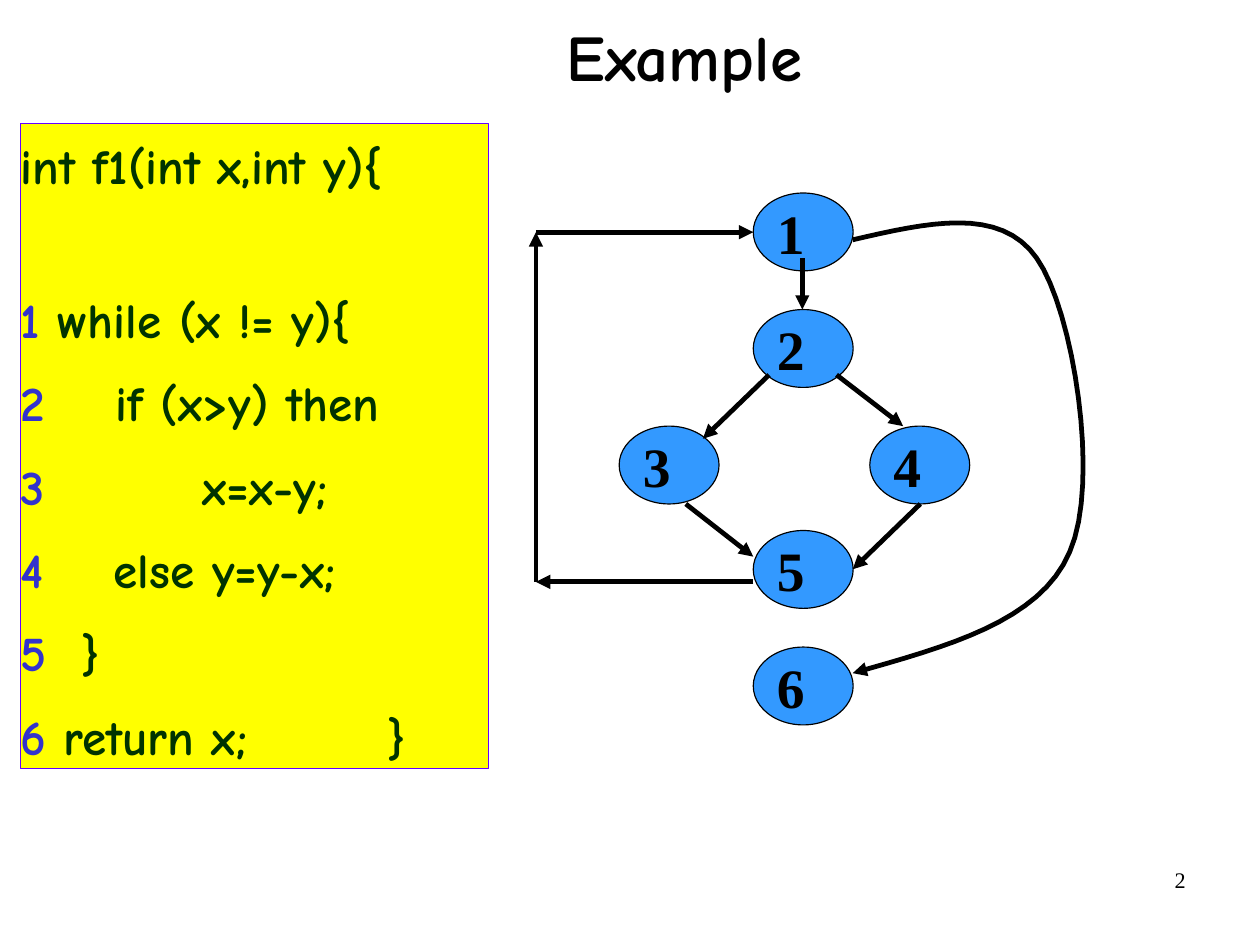
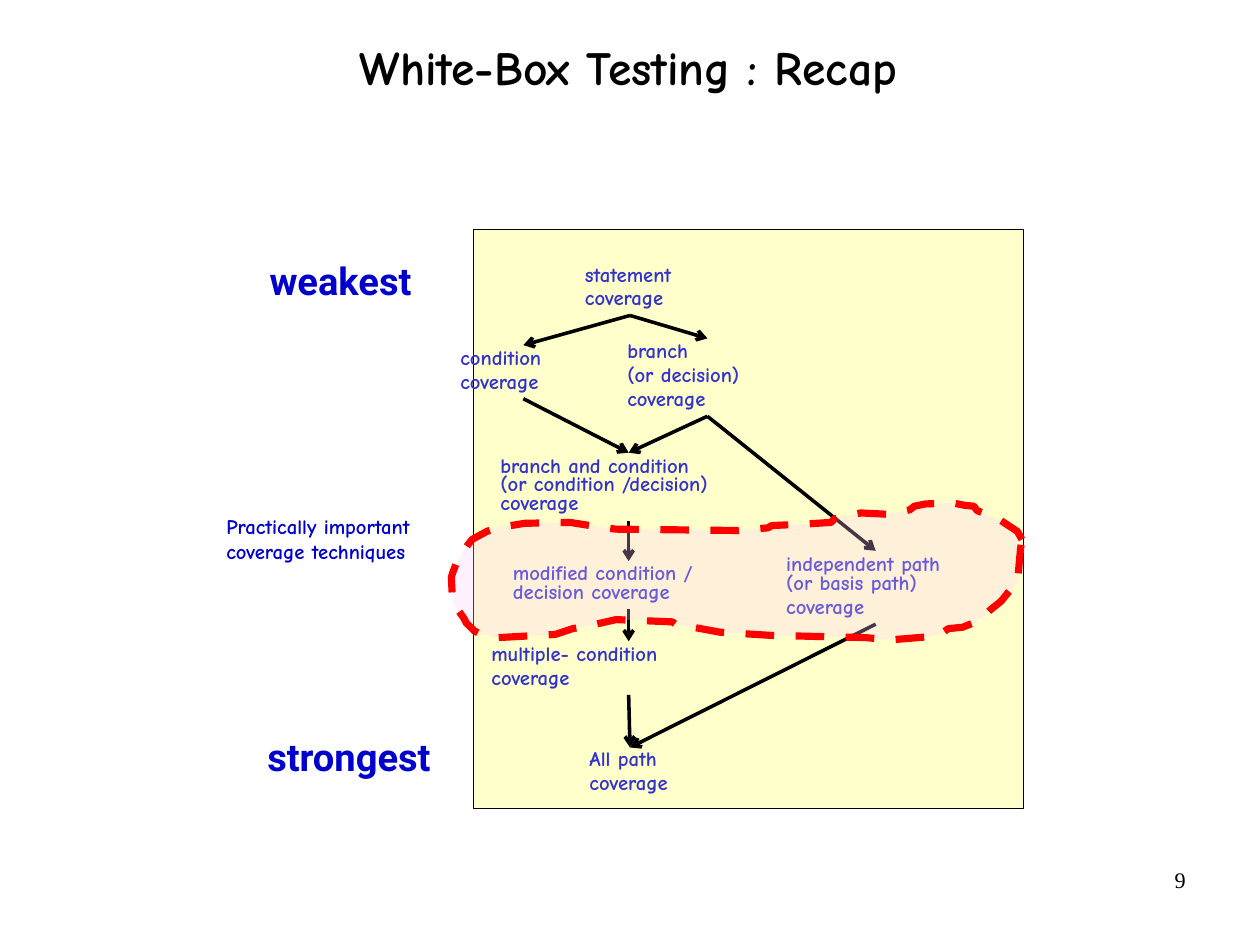
from dataclasses import dataclass

from lxml.etree import SubElement
from pptx import Presentation
from pptx.dml.color import RGBColor
from pptx.enum.dml import MSO_LINE
from pptx.enum.shapes import MSO_CONNECTOR as CONN, MSO_SHAPE as SHAPE
from pptx.enum.text import MSO_ANCHOR as ANCHOR, MSO_AUTO_SIZE as AUTO, PP_ALIGN as ALIGN
from pptx.oxml.ns import qn
from pptx.util import Cm, Pt


@dataclass(frozen=True)
class Theme:
    black: str = "000000"
    code: str = "003300"
    label: str = "3333CC"
    strong: str = "0000CC"
    node: str = "3399FF"
    code_fill: str = "FFFF00"
    code_line: str = "6600FF"
    panel: str = "FFFFCC"
    zone: str = "FFCCFF"
    zone_line: str = "FF0000"
    comic: str = "Comic Neue"
    serif: str = "Times New Roman"
    sans: str = "Roboto"
    title_pt: int = 41
    small_title_pt: int = 30
    code_pt: int = 31
    node_pt: int = 35
    strong_pt: int = 24
    label_pt: int = 13
    number_pt: int = 14
    thin_pt: float = 0.75
    arrow_pt: float = 2.25
    thick_pt: float = 3
    zone_pt: float = 4.5


T = Theme()


class Deck:
    """Build slides that share one theme, holding the slide being drawn."""

    def __init__(self):
        self.prs = Presentation()
        self.prs.slide_width, self.prs.slide_height = Cm(28), Cm(21)

    def slide(self, layout, number, title, box, size):
        self.s = self.prs.slides.add_slide(self.prs.slide_layouts[layout])
        self.text_box((20.07, 19.13, 6.53, 1.45), [number], T.serif, T.number_pt,
                      T.black, bold=False, inset=(0.25, 0.13),
                      para={"alignment": ALIGN.RIGHT})
        sp = self.s.shapes.title
        self.place(sp, box)
        self.set_text(sp, [title], T.comic, size, T.black, anchor=ANCHOR.MIDDLE,
                      para={"alignment": ALIGN.CENTER, "line_spacing": 0.88})

    def place(self, sp, box):
        for name, value in zip(("left", "top", "width", "height"), box):
            setattr(sp, name, Cm(value))

    def paint(self, sp, fill, line, width):
        if fill:
            sp.fill.solid()
            sp.fill.fore_color.rgb = RGBColor.from_string(fill)
        else:
            sp.fill.background()
        self.stroke(sp, line, width)

    def stroke(self, sp, color, width):
        sp.line.color.rgb = RGBColor.from_string(color)
        sp.line.width = Pt(width)

    def set_text(self, sp, lines, font, size, color, bold=True, anchor=ANCHOR.TOP,
                 inset=(0, 0), para=None, gap=0):
        tf = sp.text_frame
        x, y = map(Cm, inset)
        frame = {"word_wrap": True, "auto_size": AUTO.NONE, "vertical_anchor": anchor,
                 "margin_left": x, "margin_right": x, "margin_top": y, "margin_bottom": y}
        for name, value in frame.items():
            setattr(tf, name, value)
        style = {"name": font, "size": Pt(size), "bold": bold}
        for i, line in enumerate(lines):
            p = tf.add_paragraph() if i else tf.paragraphs[0]
            fmt = {"alignment": ALIGN.LEFT, "space_before": Pt(gap if i else 0)}
            for name, value in (fmt | (para or {})).items():
                setattr(p, name, value)
            for text, tint in [(line, color)] if isinstance(line, str) else line:
                r = p.add_run()
                r.text = text
                for name, value in style.items():
                    setattr(r.font, name, value)
                r.font.color.rgb = RGBColor.from_string(tint)

    def text_box(self, box, lines, font, size, color, **fmt):
        sp = self.s.shapes.add_textbox(*map(Cm, box))
        self.set_text(sp, lines, font, size, color, **fmt)

    def label(self, box, lines, gap=3.3):
        self.text_box(box, lines, T.comic, T.label_pt, T.label, anchor=ANCHOR.MIDDLE,
                      inset=(0.2, 0.1), para={"line_spacing": 0.75}, gap=gap)

    def strength(self, x, y, word):
        self.text_box((x, y, 4.5, 0.91), [word], T.sans, T.strong_pt, T.strong,
                      para={"line_spacing": 0.89})

    def code(self, box, header, rows):
        sp = self.s.placeholders[1]
        self.place(sp, box)
        self.paint(sp, T.code_fill, T.code_line, T.thin_pt)
        lines = [header] + [[(n, T.label), (text, T.code)] for n, text in rows]
        self.set_text(sp, lines, T.comic, T.code_pt, T.code, gap=3.9,
                      para={"line_spacing": 1.2, "space_after": Pt(3.9)})
        for p in sp.text_frame.paragraphs:
            pPr = p._p.get_or_add_pPr()
            pPr.set("marL", str(Cm(0.71)))
            pPr.set("indent", str(-Cm(0.71)))
            SubElement(pPr, qn("a:buNone"))
        sp.text_frame.paragraphs[1].space_before = Pt(48.6)

    def shape(self, kind, box, fill):
        sp = self.s.shapes.add_shape(kind, *map(Cm, box))
        sp.shadow.inherit = False
        self.paint(sp, fill, T.black, T.thin_pt)
        return sp

    def node(self, x, y, name):
        sp = self.shape(SHAPE.OVAL, (x, y, 2.22, 1.73), T.node)
        self.set_text(sp, [name], T.serif, T.node_pt, T.black,
                      anchor=ANCHOR.MIDDLE, inset=(0.2, 0.1))

    def head(self, sp, kind):
        SubElement(sp.element.spPr.find(qn("a:ln")), qn("a:tailEnd"), type=kind)

    def arrow(self, start, end, width, kind):
        c = self.s.shapes.add_connector(CONN.STRAIGHT, *map(Cm, start + end))
        self.stroke(c, T.black, width)
        self.head(c, kind)
        SubElement(c.element.spPr, qn("a:effectLst"))

    def outline(self, points, close, fill, line, width):
        pts = [(Cm(x), Cm(y)) for x, y in points]
        fb = self.s.shapes.build_freeform(*pts[0])
        fb.add_line_segments(pts[1:], close=close)
        sp = fb.convert_to_shape()
        sp.shadow.inherit = False
        self.paint(sp, fill, line, width)
        return sp

    def curve_arrow(self, start, curves, steps=16):
        points = [start]
        for b, c, d in curves:
            a = points[-1]
            for i in range(1, steps + 1):
                t = i / steps
                u = 1 - t
                weights = (u ** 3, 3 * u * u * t, 3 * u * t * t, t ** 3)
                points.append(tuple(sum(w * v for w, v in zip(weights, axis))
                                    for axis in zip(a, b, c, d)))
        sp = self.outline(points, False, None, T.black, T.thick_pt)
        self.head(sp, "triangle")

    def zone(self, points):
        sp = self.outline(points, True, T.zone, T.zone_line, T.zone_pt)
        sp.line.dash_style = MSO_LINE.DASH
        clr = sp.element.spPr.find(qn("a:solidFill")).find(qn("a:srgbClr"))
        SubElement(clr, qn("a:alpha"), val="27000")


CODE = [("1", " while (x != y){"), ("2 ", "   if (x>y) then"), ("3", "         x=x-y;"),
        ("4 ", "   else y=y-x;"), ("5", "  }"), ("6", " return x;        }")]

NODES = [(16.74, 4.29), (16.74, 6.88), (13.76, 9.47), (19.33, 9.47),
         (16.74, 11.79), (16.74, 14.38)]

FLOW = [((17.83, 5.74), (17.83, 6.88)), ((17.09, 8.33), (15.62, 9.75)),
        ((18.59, 8.33), (20.07, 9.47)), ((15.24, 11.2), (16.74, 12.37)),
        ((20.45, 11.2), (18.95, 12.65))]

LOOP = [(16.74, 12.93), (11.91, 12.93), (11.91, 5.16), (16.74, 5.16)]

EXIT = [((20.6, 4.95), (22.23, 4.57), (23.04, 5.74)),
        ((23.85, 6.88), (24.46, 10.72), (23.77, 12.27)),
        ((23.11, 13.82), (21.03, 14.37), (18.95, 14.96))]

LABELS = [((12.8, 5.84, 2.8, 1.14), ["statement", "coverage"]),
          ((10.03, 7.7, 3.18, 1.14), ["condition", "coverage"]),
          ((13.74, 7.54, 3.94, 1.68), ["branch", "(or decision)", "coverage"]),
          ((12.9, 16.61, 2.6, 1.14), ["All path", "coverage"]),
          ((11.2, 12.47, 5.51, 1.04), ["modified condition / decision coverage"]),
          ((17.27, 12.27, 4.37, 1.57), ["independent path (or basis path)", "coverage"]),
          ((10.72, 14.27, 6.5, 1.14), ["multiple- condition", "coverage"])]

STATEMENT, BRANCH, BOTH, ALL_PATH = (14, 7.01), (15.72, 9.25), (13.97, 10.06), (14, 16.61)
COVERAGE = [(STATEMENT, (11.63, 7.67)), (STATEMENT, (15.72, 7.52)),
            ((11.63, 8.86), BOTH), (BRANCH, BOTH),
            ((13.97, 11.58), (13.97, 12.47)), ((13.97, 13.54), (13.97, 14.25)),
            ((19.46, 13.87), ALL_PATH), (BRANCH, (19.46, 12.24)),
            ((13.97, 15.44), ALL_PATH)]

ZONE = [(22.71, 11.99), (22.61, 11.81), (22.23, 11.56), (22, 11.46), (21.72, 11.35),
        (21.64, 11.25), (21.44, 11.23), (21.18, 11.18), (20.57, 11.2), (20.32, 11.25),
        (20.22, 11.33), (19.74, 11.43), (19.13, 11.4), (18.82, 11.46), (18.54, 11.53),
        (18.47, 11.61), (17.83, 11.65), (17.15, 11.68), (17.07, 11.73), (16.41, 11.79),
        (13.69, 11.76), (13.11, 11.68), (12.67, 11.61), (11.66, 11.63), (11.05, 11.73),
        (10.82, 11.81), (10.49, 11.99), (10.39, 12.12), (10.16, 12.47), (10.06, 12.73),
        (10.03, 12.83), (10.06, 13.39), (10.31, 13.74), (10.36, 13.84), (10.54, 14.02),
        (10.69, 14.1), (11.07, 14.17), (12.34, 14.1), (12.73, 13.97), (13.16, 13.89),
        (13.69, 13.77), (14.94, 13.82), (15.01, 13.87), (15.57, 13.97), (16, 14.05),
        (17.12, 14.12), (19.23, 14.17), (19.8, 14.22), (20.65, 14.15), (20.88, 14.1),
        (21.08, 13.97), (21.39, 13.94), (21.64, 13.84), (21.82, 13.74), (22, 13.56),
        (22.25, 13.36), (22.45, 13.11), (22.61, 12.95), (22.68, 12.19)]


def example(d):
    d.slide(1, "2", "Example", (11.91, 0.56, 6.6, 1.57), T.title_pt)
    d.code((0.46, 2.74, 10.39, 14.33), "int f1(int x,int y){", CODE)
    for i, (x, y) in enumerate(NODES, 1):
        d.node(x, y, str(i))
    for start, end in FLOW + list(zip(LOOP, LOOP[1:])):
        d.arrow(start, end, T.thick_pt, "triangle")
    d.curve_arrow((18.95, 5.33), EXIT)


def recap(d):
    d.slide(5, "9", "White-Box Testing : Recap", (4.52, 0.61, 18.9, 1.93), T.small_title_pt)
    d.shape(SHAPE.RECTANGLE, (10.52, 5.11, 12.22, 12.85), T.panel)
    for box, lines in LABELS:
        d.label(box, lines)
    d.label((10.92, 10.08, 6.12, 1.45),
            ["branch and condition", "(or condition /decision) coverage"], gap=0)
    for start, end in COVERAGE:
        d.arrow(start, end, T.arrow_pt, "arrow")
    d.strength(5.99, 5.84, "weakest")
    d.strength(5.94, 16.43, "strongest")
    d.zone(ZONE)
    d.text_box((4.78, 11.3, 5.6, 1.37), ["Practically important coverage techniques"],
               T.comic, T.label_pt, T.strong, inset=(0.25, 0.13))


def main():
    d = Deck()
    example(d)
    recap(d)
    d.prs.save("out.pptx")


if __name__ == "__main__":
    main()
